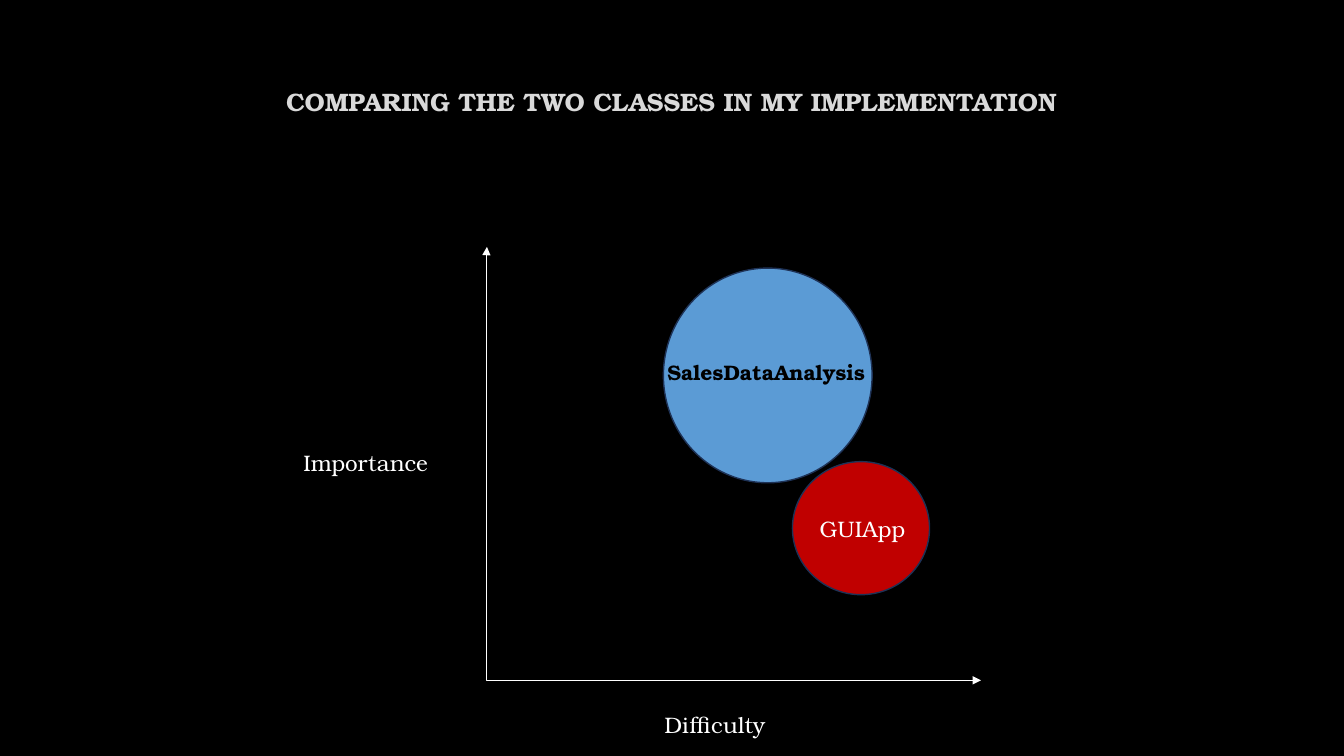
"""Build a slide that places two classes on importance and difficulty axes."""
from pptx import Presentation
from pptx import util as u
from pptx.dml.color import RGBColor
from pptx.enum import shapes, text
from pptx.oxml.ns import qn
from lxml import etree

PX = 9144
FONT = "TeX Gyre Bonum"
BLACK = RGBColor(0, 0, 0)
WHITE = RGBColor(255, 255, 255)
GREY = RGBColor(0xD9, 0xD9, 0xD9)
BLUE = RGBColor(0x5B, 0x9B, 0xD5)
RED = RGBColor(0xC0, 0, 0)
NAVY = RGBColor(0x1E, 0x32, 0x56)


def write(frame, words, size, color, bold=False):
    para = frame.paragraphs[0]
    run = para.add_run()
    run.text = words
    run.font.name = FONT
    run.font.size = u.Pt(size)
    run.font.bold = bold
    run.font.color.rgb = color
    return para


def draw(kind, box, fill):
    shape = slide.shapes.add_shape(kind, *[n * PX for n in box])
    shape.shadow.inherit = False
    shape.fill.solid()
    shape.fill.fore_color.rgb = fill
    return shape


deck = Presentation()
deck.slide_width, deck.slide_height = 1333 * PX, 750 * PX
slide = deck.slides.add_slide(deck.slide_layouts[5])
slide.background.fill.solid()
slide.background.fill.fore_color.rgb = BLACK

title = slide.shapes.title
title.left, title.top, title.width, title.height = [n * PX for n in (100, 67, 1132, 72)]
frame = title.text_frame
frame.word_wrap = True
frame.auto_size = text.MSO_AUTO_SIZE.NONE
frame.vertical_anchor = text.MSO_ANCHOR.MIDDLE
para = write(frame, "COMPARING THE TWO CLASSES IN MY IMPLEMENTATION", 18, GREY, True)
para.alignment = text.PP_ALIGN.CENTER
para.line_spacing = 0.9

panel = draw(shapes.MSO_SHAPE.RECTANGLE, (0, 229, 1333, 521), BLACK)
panel.line.fill.background()
color = panel.element.spPr.find(qn("a:solidFill"))[0]
etree.SubElement(color, qn("a:alpha"), val="50000")

axes = slide.shapes.add_connector(
    shapes.MSO_CONNECTOR.ELBOW, 483 * PX, 245 * PX, 973 * PX, 675 * PX)
axes.line.color.rgb = WHITE
axes.line.width = u.Pt(0.5)
props = axes.element.spPr
for end in ("a:headEnd", "a:tailEnd"):
    etree.SubElement(props.find(qn("a:ln")), qn(end), type="triangle")
etree.SubElement(props, qn("a:effectLst"))
bend = props.find(qn("a:prstGeom")).find(qn("a:avLst"))
etree.SubElement(bend, qn("a:gd"), name="adj1", fmla="val -100")

for box, fill in (((658, 266, 207, 213), BLUE), ((786, 458, 136, 132), RED)):
    disc = draw(shapes.MSO_SHAPE.OVAL, box, fill)
    disc.line.color.rgb = NAVY
    disc.line.width = u.Pt(1)

labels = [
    ("Importance", 291, 439, 209, 16, WHITE, False),
    ("Difficulty", 649, 699, 209, 16, WHITE, False),
    ("SalesDataAnalysis", 652, 350, 233, 15, BLACK, True),
    ("GUIApp", 803, 504, 209, 16, WHITE, False),
]
for words, left, top, width, size, color, bold in labels:
    label = slide.shapes.add_textbox(left * PX, top * PX, width * PX, 51 * PX)
    label.text_frame.word_wrap = True
    para = write(label.text_frame, words, size, color, bold)
    para.line_spacing = 1.07
    para.space_after = u.Pt(8)

deck.save("out.pptx")
